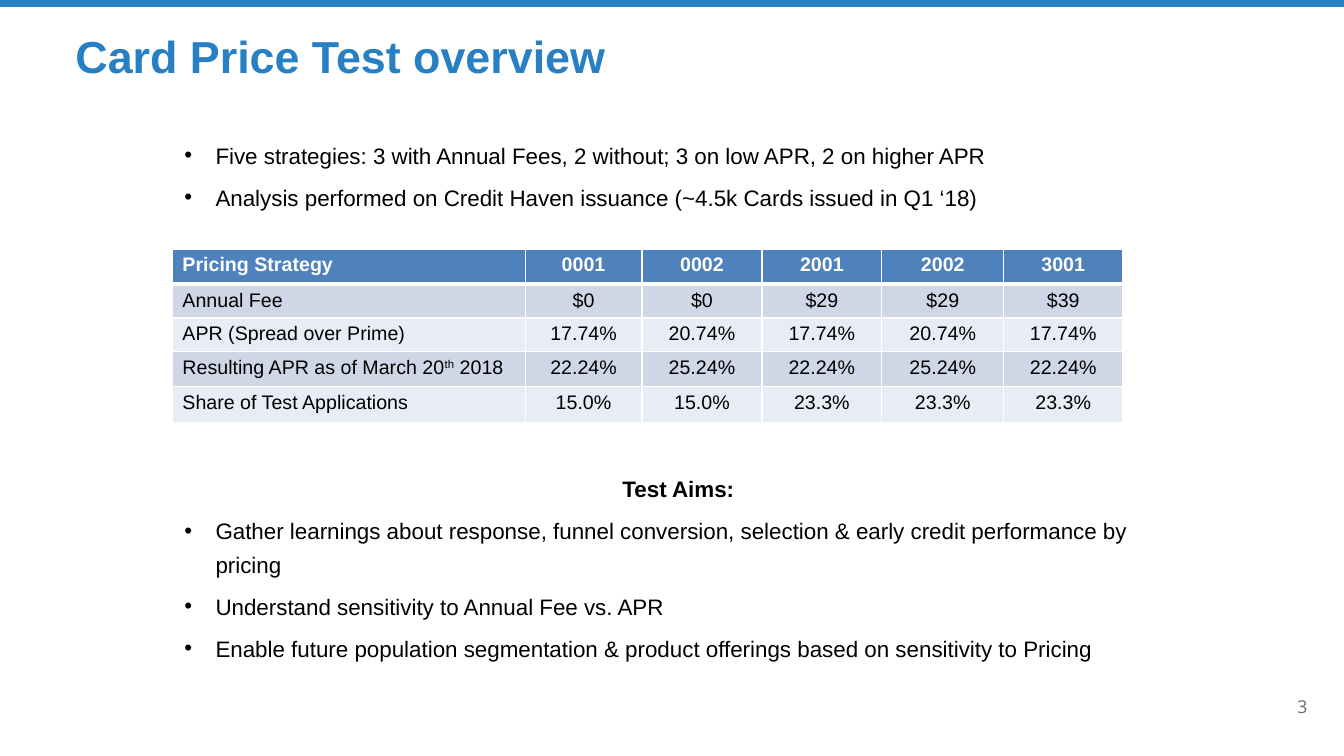
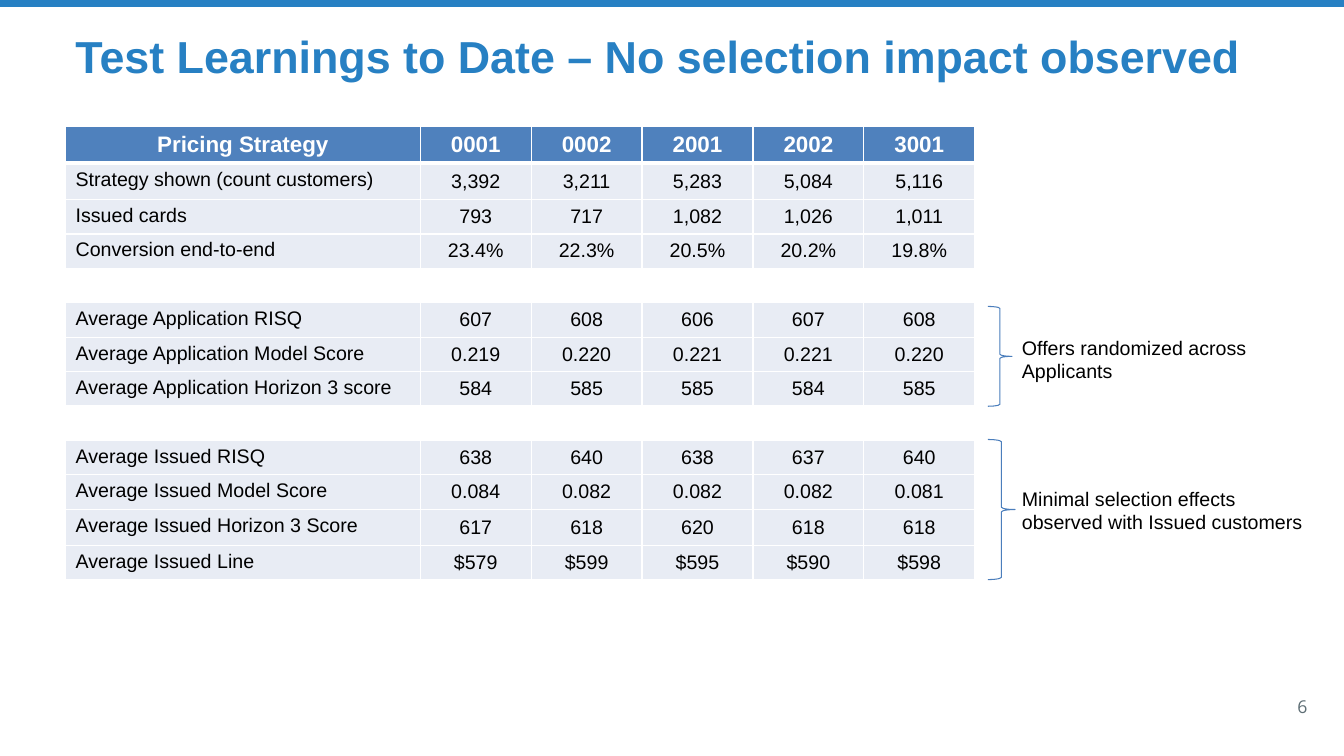
from lxml import etree
from pptx import Presentation
from pptx.dml.color import RGBColor
from pptx.enum.shapes import MSO_SHAPE
from pptx.enum.text import MSO_ANCHOR, PP_ALIGN
from pptx.oxml.ns import qn
from pptx.util import Inches, Pt

RECT, BRACE = MSO_SHAPE.RECTANGLE, MSO_SHAPE.RIGHT_BRACE
TOP, MIDDLE = MSO_ANCHOR.TOP, MSO_ANCHOR.MIDDLE
LEFT, CENTER, RIGHT = PP_ALIGN.LEFT, PP_ALIGN.CENTER, PP_ALIGN.RIGHT

BLUE = RGBColor(0x27, 0x80, 0xC3)
HEAD = RGBColor(0x4F, 0x81, 0xBD)
DARK = RGBColor(0xCF, 0xD7, 0xE7)
PALE = RGBColor(0xE8, 0xEC, 0xF4)
EDGE = RGBColor(0x4B, 0x7E, 0xBC)
GREY = RGBColor(0x5E, 0x6E, 0x75)
BLACK = RGBColor(0, 0, 0)
WHITE = RGBColor(0xFF, 0xFF, 0xFF)

# Grid of 80 columns by 45 rows
WIDTH, HEIGHT = Inches(13.33), Inches(7.5)
COLS, ROWS = 80, 45

PLANS = ["0001", "0002", "2001", "2002", "3001"]

PRICES = [
    ["Pricing Strategy"] + PLANS,
    ["Annual Fee", "$0", "$0", "$29", "$29", "$39"],
    ["APR (Spread over Prime)", "17.74%", "20.74%", "17.74%", "20.74%", "17.74%"],
    ["Resulting APR as of March 20^th^ 2018",
     "22.24%", "25.24%", "22.24%", "25.24%", "22.24%"],
    ["Share of Test Applications", "15.0%", "15.0%", "23.3%", "23.3%", "23.3%"],
]

GAP = [""] * 6
RESULTS = [
    ["Pricing Strategy"] + PLANS,
    ["Strategy shown (count customers)", "3,392", "3,211", "5,283", "5,084", "5,116"],
    ["Issued cards", "793", "717", "1,082", "1,026", "1,011"],
    ["Conversion end-to-end", "23.4%", "22.3%", "20.5%", "20.2%", "19.8%"],
    GAP,
    ["Average Application RISQ", "607", "608", "606", "607", "608"],
    ["Average Application Model Score", "0.219", "0.220", "0.221", "0.221", "0.220"],
    ["Average Application Horizon 3 score", "584", "585", "585", "584", "585"],
    GAP,
    ["Average Issued RISQ", "638", "640", "638", "637", "640"],
    ["Average Issued Model Score", "0.084", "0.082", "0.082", "0.082", "0.081"],
    ["Average Issued Horizon 3 Score", "617", "618", "620", "618", "618"],
    ["Average Issued Line", "$579", "$599", "$595", "$590", "$598"],
]

FACTS = [
    "Five strategies: 3 with Annual Fees, 2 without; 3 on low APR, 2 on higher APR",
    "Analysis performed on Credit Haven issuance (~4.5k Cards issued in Q1 ‘18)",
]
AIMS = [
    "Gather learnings about response, funnel conversion, selection & early credit "
    "performance by pricing",
    "Understand sensitivity to Annual Fee vs. APR",
    "Enable future population segmentation & product offerings based on "
    "sensitivity to Pricing",
]


def across(cols):
    return round(WIDTH * cols / COLS)


def down(rows):
    return round(HEIGHT * rows / ROWS)


def area(x, y, w, h):
    return across(x), down(y), across(w), down(h)


def style(para, size, color=BLACK, bold=False, align=LEFT, font="Arial"):
    para.alignment = align
    for run in para.runs:
        run.font.name, run.font.size = font, Pt(size)
        run.font.color.rgb, run.font.bold = color, bold


def add_box(slide, place, lines, anchor=TOP):
    frame = slide.shapes.add_textbox(*area(*place)).text_frame
    frame.word_wrap = True
    frame.vertical_anchor = anchor
    frame.text = "\n".join(lines)
    return frame.paragraphs


def add_shape(slide, kind, place, fill=None, line=None):
    shape = slide.shapes.add_shape(kind, *area(*place))
    shape.shadow.inherit = False
    if fill is None:
        shape.fill.background()
    else:
        shape.fill.solid()
        shape.fill.fore_color.rgb = fill
    if line is None:
        shape.line.fill.background()
    else:
        shape.line.color.rgb = line
        shape.line.width = Pt(0.75)


def indent(para, left, hang=0.0, mark=None):
    para.line_spacing = 1.25
    para.space_after = Pt(6)
    props = para._p.get_or_add_pPr()
    props.set("marL", str(Inches(left)))
    props.set("indent", str(Inches(hang)))
    if mark:
        font = etree.SubElement(props, qn("a:buFont"))
        font.set("typeface", "Arial")
        etree.SubElement(props, qn("a:buChar")).set("char", mark)


def add_list(slide, place, items, heading=None):
    lines = [heading] + items if heading else items
    for i, para in enumerate(add_box(slide, place, lines)):
        if heading and i == 0:
            style(para, 16, bold=True, align=CENTER)
            indent(para, 0.02)
        else:
            style(para, 16)
            indent(para, 0.33, -0.31, "•")


def set_edges(cell, top, bottom):
    props = cell._tc.get_or_add_tcPr()
    for side, width in zip("LRTB", (1, 1, top, bottom)):
        line = etree.SubElement(props, qn("a:ln" + side))
        line.set("w", str(Pt(width)))
        fill = etree.SubElement(line, qn("a:solidFill"))
        etree.SubElement(fill, qn("a:srgbClr")).set("val", str(WHITE))


def write(para, text):
    """Fill a paragraph; text between carets is raised."""
    for i, part in enumerate(text.split("^")):
        run = para.add_run()
        run.text = part
        if i % 2:
            run._r.get_or_add_rPr().set("baseline", "30000")


def fill_cell(cell, text, head, size, color, align, anchor):
    if not text:
        cell.fill.background()
        cell.margin_top = cell.margin_bottom = 0
        return
    cell.fill.solid()
    cell.fill.fore_color.rgb = color
    cell.vertical_anchor = anchor
    para = cell.text_frame.paragraphs[0]
    write(para, text)
    style(para, size, WHITE if head else BLACK, head, align)


def add_grid(slide, x, y, data, widths, heights, bands, size, first, anchor):
    """Draw a table; first aligns its corner, anchor its values."""
    place = area(x, y, sum(widths), sum(heights))
    table = slide.shapes.add_table(len(data), len(widths), *place).table
    table.horz_banding = False
    for col, width in zip(table.columns, widths):
        col.width = across(width)
    for r, (texts, height) in enumerate(zip(data, heights)):
        table.rows[r].height = down(height)
        head = r == 0
        color = HEAD if head else bands[r % len(bands)]
        for c, text in enumerate(texts):
            cell = table.cell(r, c)
            set_edges(cell, 3 if r == 1 else 1, 3 if head else 1)
            label = c == 0
            align = CENTER if not label else first if head else LEFT
            fill_cell(cell, text, head, size if head else 14, color, align,
                      TOP if label and not head else anchor)


def add_note(slide, top, height, width, text_top, text):
    add_shape(slide, BRACE, (58.8, top, width, height), line=EDGE)
    style(add_box(slide, (60.24, text_top, 18.18, 3.42), [text])[0], 14)


def add_page(deck, title, number):
    slide = deck.slides.add_slide(deck.slide_layouts[6])
    add_shape(slide, RECT, (0, 0, COLS, 0.42), fill=BLUE)
    para = add_box(slide, (3.9, 0, 72.18, 6.66), [title], MIDDLE)[0]
    style(para, 32, BLUE, True)
    para = add_box(slide, (59.76, 41.1, 18.66, 2.4), [number])[0]
    style(para, 12.6, GREY, align=RIGHT, font="Open Sans")
    return slide


def main():
    deck = Presentation()
    deck.slide_width, deck.slide_height = WIDTH, HEIGHT

    # Overview of the test
    slide = add_page(deck, "Card Price Test overview", "3")
    add_grid(slide, 10.26, 14.82, PRICES, [21, 6.96, 7.14, 7.14, 7.26, 7.08],
             [2.1, 1.92, 1.92, 2.1, 2.1], [PALE, DARK], 14, LEFT, TOP)
    add_list(slide, (10.26, 7.74, 56.58, 4.98), FACTS)
    add_list(slide, (10.26, 27.6, 60.12, 12.24), AIMS, "Test Aims:")

    # Learnings by strategy
    slide = add_page(deck, "Test Learnings to Date – No selection impact observed", "6")
    heights = [2.22, 2.16] + [2.05] * 9 + [2.16, 2.05]
    add_grid(slide, 3.9, 7.5, RESULTS, [21.12] + [6.6] * 5, heights,
             [PALE], 16, CENTER, MIDDLE)
    add_note(slide, 18.24, 5.94, 1.44, 19.68, "Offers randomized across Applicants")
    add_note(slide, 26.16, 8.34, 1.62, 28.68,
             "Minimal selection effects observed with Issued customers")

    deck.save("out.pptx")


if __name__ == "__main__":
    main()
